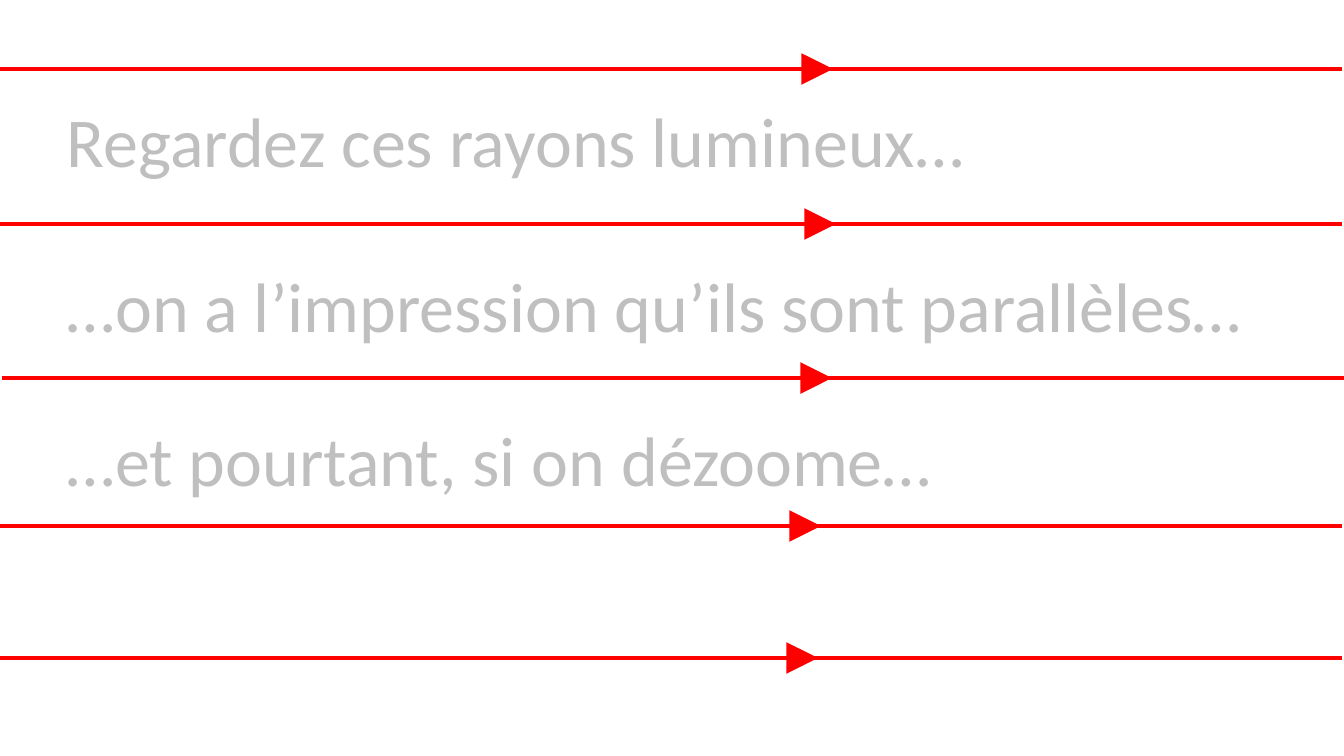
import pptx
import pptx.util
import pptx.dml.color
import pptx.enum.shapes
import pptx.oxml.ns
import lxml.etree

PX = 914400 / 100.8
RED = pptx.dml.color.RGBColor(0xFF, 0x00, 0x00)
GREY = pptx.dml.color.RGBColor(0xBF, 0xBF, 0xBF)


def px(n):
    return pptx.util.Emu(round(n * PX))


def add_line(x1, x2, y, width, arrow=False):
    c = s.shapes.add_connector(pptx.enum.shapes.MSO_CONNECTOR.STRAIGHT,
                               px(x1), px(y), px(x2), px(y))
    c.line.color.rgb = RED
    c.line.width = pptx.util.Pt(width)
    if arrow:
        ln = c.line._get_or_add_ln()
        lxml.etree.SubElement(ln, pptx.oxml.ns.qn("a:tailEnd"), type="triangle")
    lxml.etree.SubElement(c._element.spPr, pptx.oxml.ns.qn("a:effectLst"))


prs = pptx.Presentation()
prs.slide_width, prs.slide_height = px(1344), px(756)
s = prs.slides.add_slide(prs.slide_layouts[6])

# Light rays: left end, height, start of the arrow
rays = [(0, 69, 805), (0, 224, 808), (2, 378, 804), (0, 526, 793), (0, 658, 790)]
for left, y, _ in rays:
    add_line(left, left + 1342, y, 2.25)

# Direction arrows on the rays
for _, y, start in rays:
    add_line(start, start + 28, y, 7.5, arrow=True)

# Sentences between the rays
sentences = [
    (93, "Regardez ces rayons lumineux…"),
    (258, "…on a l’impression qu’ils sont parallèles…"),
    (412, "…et pourtant, si on dézoome…"),
]
font = {"name": "Calibri", "size": pptx.util.Pt(50)}
for top, text in sentences:
    sp = s.shapes.add_textbox(px(57), px(top), px(1287), px(95))
    tf = sp.text_frame
    tf.word_wrap = True
    r = tf.paragraphs[0].add_run()
    r.text = text
    for key, value in font.items():
        setattr(r.font, key, value)
    r.font.color.rgb = GREY

prs.save("out.pptx")
